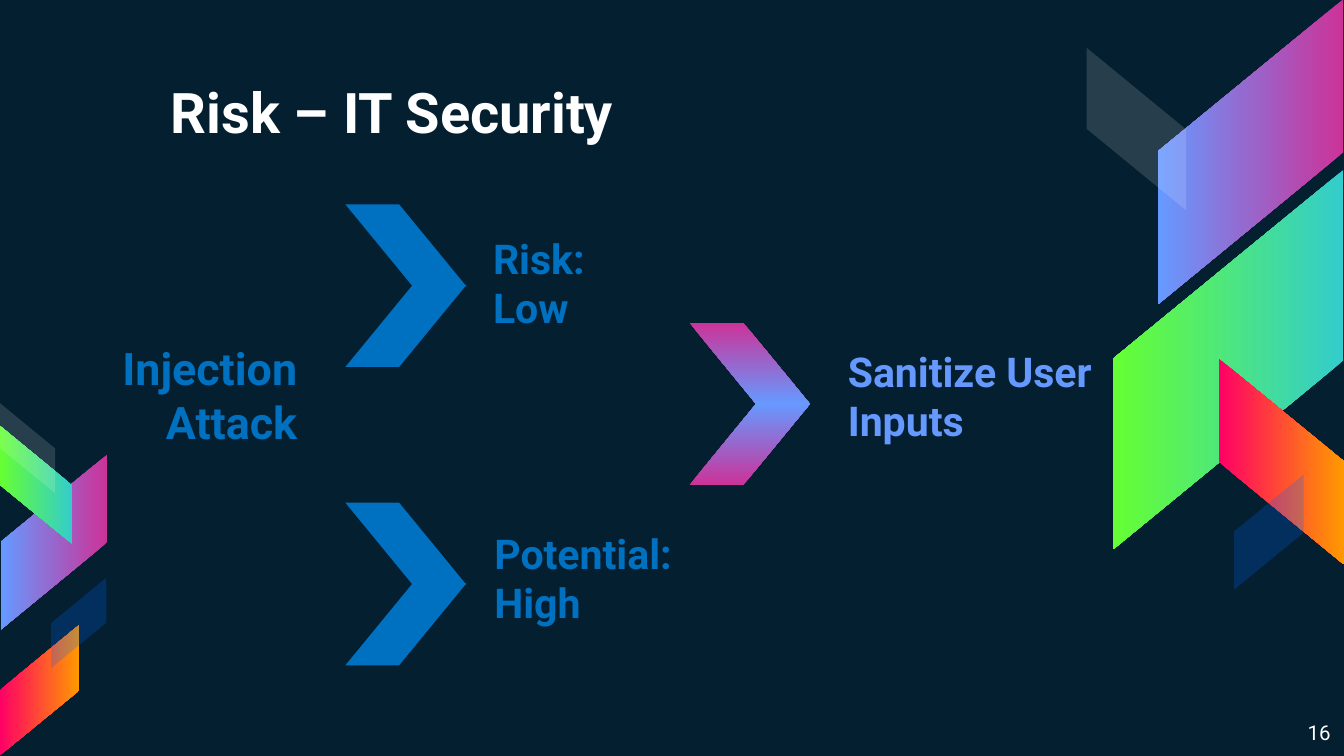
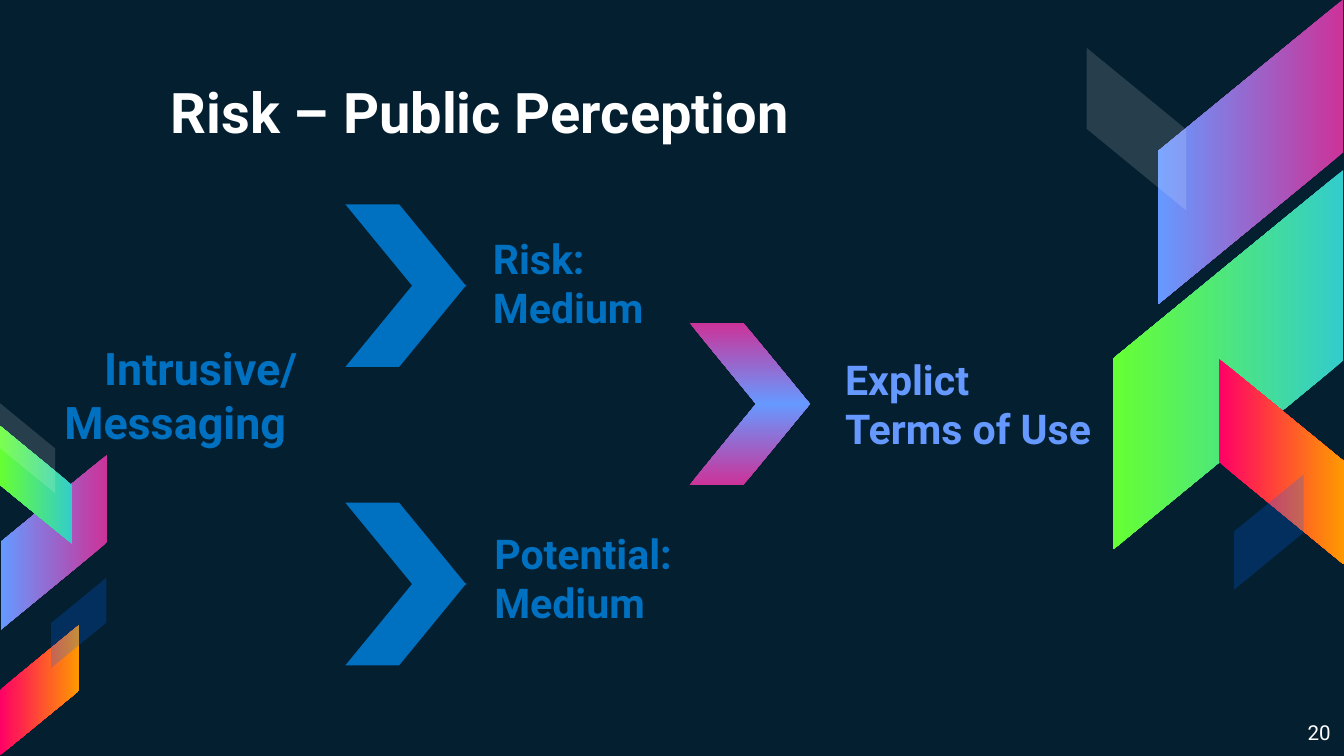
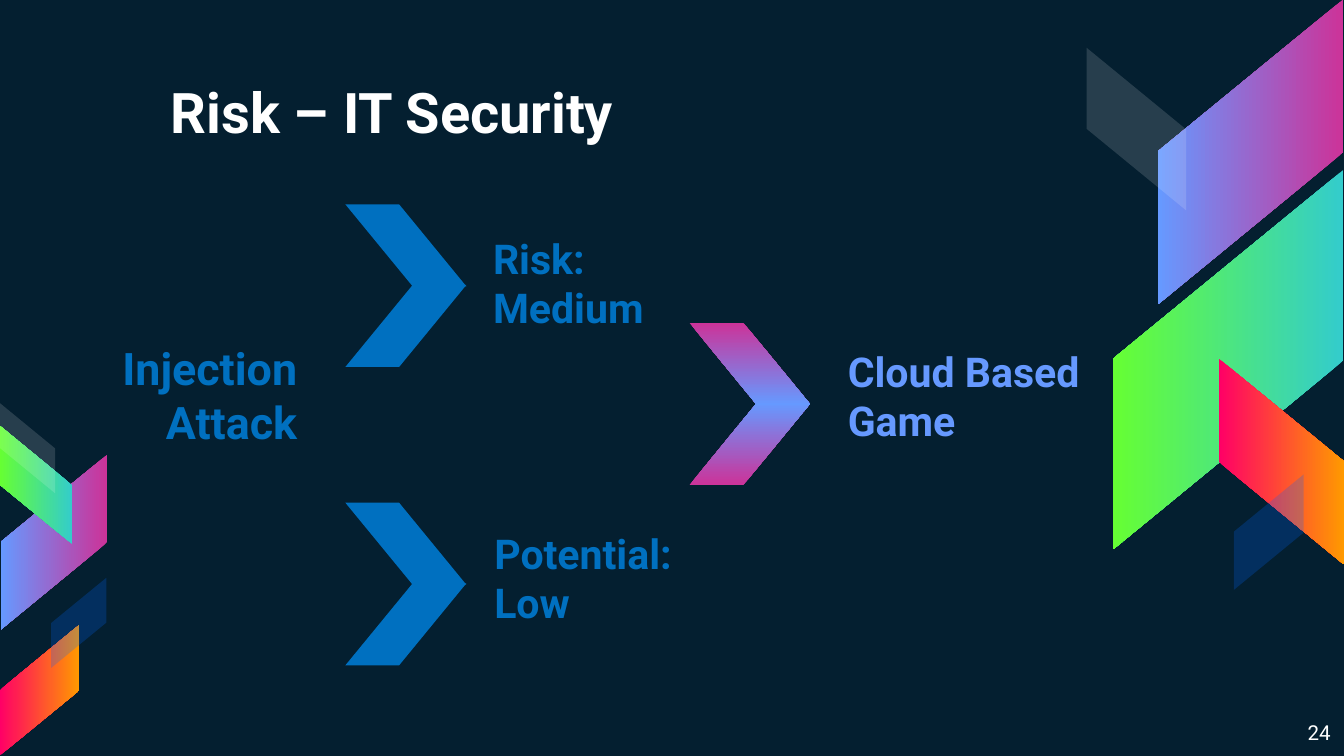
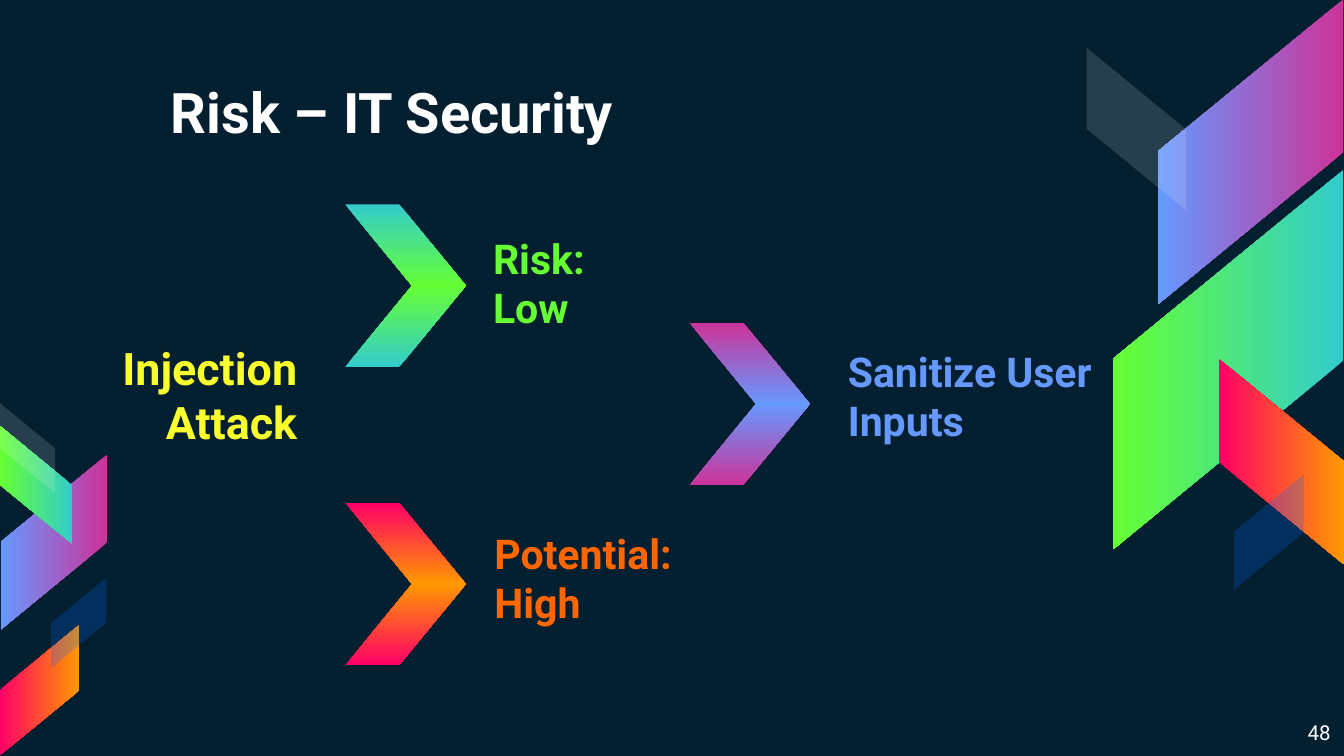
from pptx import Presentation
from pptx.dml.color import RGBColor
from pptx.enum import shapes, text
from pptx.oxml import ns
from pptx.util import Inches, Pt
from lxml import etree

# Colours
NAVY = RGBColor(0x04, 0x1F, 0x30)
WHITE = RGBColor(0xFF, 0xFF, 0xFF)
BLUE = RGBColor(0x00, 0x70, 0xC0)
ROYAL = RGBColor(0x00, 0x66, 0xFF)
SKY = RGBColor(0x66, 0x99, 0xFF)
PLUM = RGBColor(0xCC, 0x33, 0x99)
TEAL = RGBColor(0x33, 0xCC, 0xCC)
LIME = RGBColor(0x66, 0xFF, 0x33)
ROSE = RGBColor(0xFF, 0x00, 0x66)
AMBER = RGBColor(0xFF, 0x99, 0x00)
RUST = RGBColor(0xFF, 0x66, 0x00)
LEMON = RGBColor(0xF9, 0xFF, 0x2C)

# Fills: one colour, or a gradient from the first colour to the second
VIOLET = (PLUM, SKY)
GREEN = (TEAL, LIME)
FIRE = (ROSE, AMBER)

# Text formats
HEAD = dict(name="Roboto", size=Pt(30), bold=True)
CAUSE = dict(name="Roboto", size=Pt(24), bold=True)
LABEL = dict(name="Roboto", size=Pt(22), bold=True)
PAGE = dict(name="Roboto", size=Pt(11), bold=False)

LEFT, RIGHT = text.PP_ALIGN.LEFT, text.PP_ALIGN.RIGHT
TOP, MID, LOW = (text.MSO_ANCHOR.TOP, text.MSO_ANCHOR.MIDDLE,
                 text.MSO_ANCHOR.BOTTOM)


def band(slide, box, turn, flip, fill, alpha=None):
    """Add a slanted band with a plain or gradient fill."""
    shape = slide.shapes.add_shape(
        shapes.MSO_SHAPE.PARALLELOGRAM, *map(Inches, box))
    shape.adjustments[0] = 0.82
    shape.rotation = turn
    shape.shadow.inherit = False
    shape.line.fill.background()
    if flip:
        shape._element.spPr.xfrm.set("flipH", "1")
    if isinstance(fill, RGBColor):
        shape.fill.solid()
        shape.fill.fore_color.rgb = fill
    else:
        shape.fill.gradient()
        shape.fill.gradient_angle = 270
        for stop, tone in zip(shape.fill.gradient_stops, fill):
            stop.color.rgb = tone
    if alpha:
        tone = shape._element.spPr.find(".//" + ns.qn("a:srgbClr"))
        etree.SubElement(tone, ns.qn("a:alpha"), val=str(alpha * 1000))
    return shape


def write(shape, words, form, tone, align=LEFT, anchor=MID):
    """Fill a text shape, one paragraph for each line."""
    frame = shape.text_frame
    frame.text = words
    frame.word_wrap = True
    frame.auto_size = text.MSO_AUTO_SIZE.NONE
    frame.vertical_anchor = anchor
    for side in ("left", "right", "top", "bottom"):
        setattr(frame, "margin_" + side, Inches(0.1))
    for para in frame.paragraphs:
        para.alignment = align
        for run in para.runs:
            for key, value in form.items():
                setattr(run.font, key, value)
            run.font.color.rgb = tone


# Widescreen page, 16 to 9
prs = Presentation()
prs.slide_width = Inches(10)
prs.slide_height = prs.slide_width * 9 // 16
lay = prs.slide_layouts[5]
back = prs.slide_master.background.fill
back.solid()
back.fore_color.rgb = NAVY

# Corner bands: box, turn, flip, fill, alpha
bands = [
    # right corner
    ((8.17, 0.44, 2.27, 1.38), 90, True, VIOLET),
    ((7.73, 1.82, 2.82, 1.71), 90, True, GREEN),
    ((8.77, 2.97, 1.53, 0.93), 270, False, FIRE),
    ((7.85, 0.59, 1.21, 0.74), 270, False, WHITE, 14),
    ((9.01, 3.7, 0.86, 0.52), 270, True, ROYAL, 23),
    # left corner
    ((-0.25, 3.64, 1.3, 0.79), 90, True, VIOLET),
    ((-0.17, 3.34, 0.88, 0.54), 90, False, GREEN),
    ((-0.19, 4.84, 0.97, 0.59), 270, True, FIRE),
    ((-0.13, 3.13, 0.67, 0.41), 270, False, WHITE, 14),
    ((0.25, 4.43, 0.67, 0.41), 270, True, ROYAL, 23),
]

# Colour schemes: cause text, then text and arrow of risk and potential
plain = (BLUE, BLUE, BLUE, BLUE, BLUE)
vivid = (LEMON, LIME, GREEN, RUST, FIRE)

# Slides: title, page, cause, risk, risk width, potential,
# remedy, remedy box, scheme
cards = [
    ("Risk – IT Security", 16, "Injection Attack", "Low", 1.28, "High",
     "Sanitize User Inputs", (6.21, 2.27, 2.05, 1.35), plain),
    ("Risk – Public Perception", 20, "Intrusive/ Messaging ", "Medium", 1.46,
     "Medium", "Explict Terms of Use", (6.19, 2.33, 2.05, 1.35), plain),
    ("Risk – IT Security", 24, "Injection Attack", "Medium", 1.38, "Low",
     "Cloud Based Game", (6.21, 2.27, 2.12, 1.35), plain),
    ("Risk – IT Security", 48, "Injection Attack", "Low", 1.28, "High",
     "Sanitize User Inputs", (6.21, 2.27, 2.05, 1.35), vivid),
]

for num, card in enumerate(cards):
    name, page, cause, risk, wide, chance, cure, spot, scheme = card
    tone, risk_ink, risk_fill, odds_ink, odds_fill = scheme
    slide = prs.slides.add_slide(lay)

    # The corner bands are drawn once and moved to the shared layout
    if num == 0:
        for item in bands:
            lay.shapes._spTree.append(band(slide, *item)._element)

    # Title
    title = slide.shapes.title
    title.left, title.top = Inches(1.17), Inches(0.48)
    title.width, title.height = Inches(6.53), Inches(0.7)
    write(title, name, HEAD, WHITE, anchor=LOW)

    # Arrows, each made of an upper and a lower half
    for x, y, fill in ((2.57, 3.74, odds_fill), (2.57, 1.52, risk_fill),
                       (5.13, 2.4, VIOLET)):
        band(slide, (x, y, 0.9, 0.61), 0, True, fill)
        band(slide, (x, y + 0.6, 0.9, 0.61), 180, False, fill)

    # Labels and page number
    labels = [
        ((3.58, 3.62, 1.84, 1.35), "Potential:\n" + chance, LABEL, odds_ink),
        ((0.26, 2.26, 2.05, 1.35), cause, CAUSE, tone, RIGHT),
        ((3.57, 1.43, wide, 1.35), "Risk:\n" + risk, LABEL, risk_ink),
        (spot, cure, LABEL, SKY),
        ((9.36, 5.26, 0.64, 0.36), str(page), PAGE, WHITE, RIGHT, TOP),
    ]
    for box, *rest in labels:
        write(slide.shapes.add_textbox(*map(Inches, box)), *rest)

prs.save("out.pptx")
